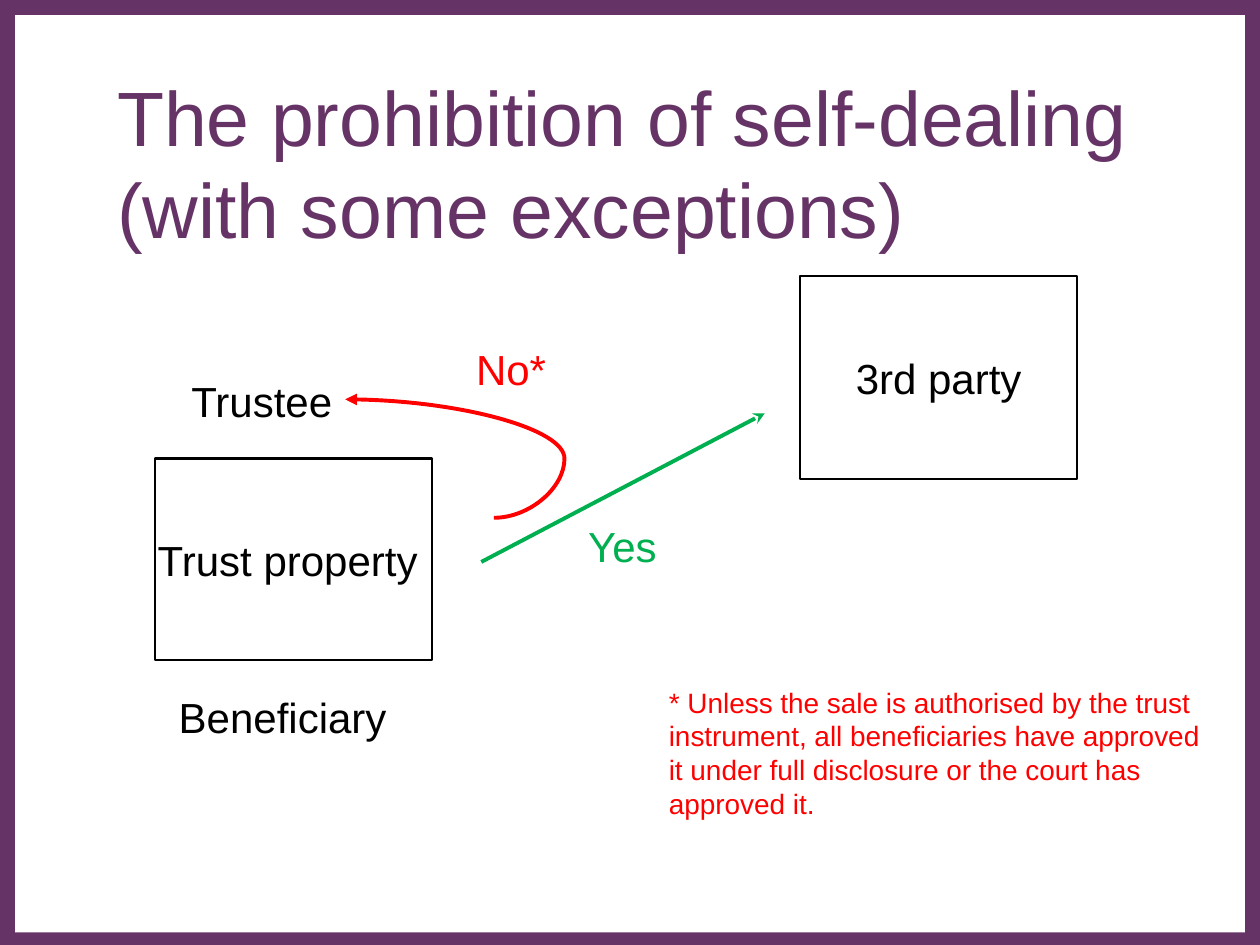
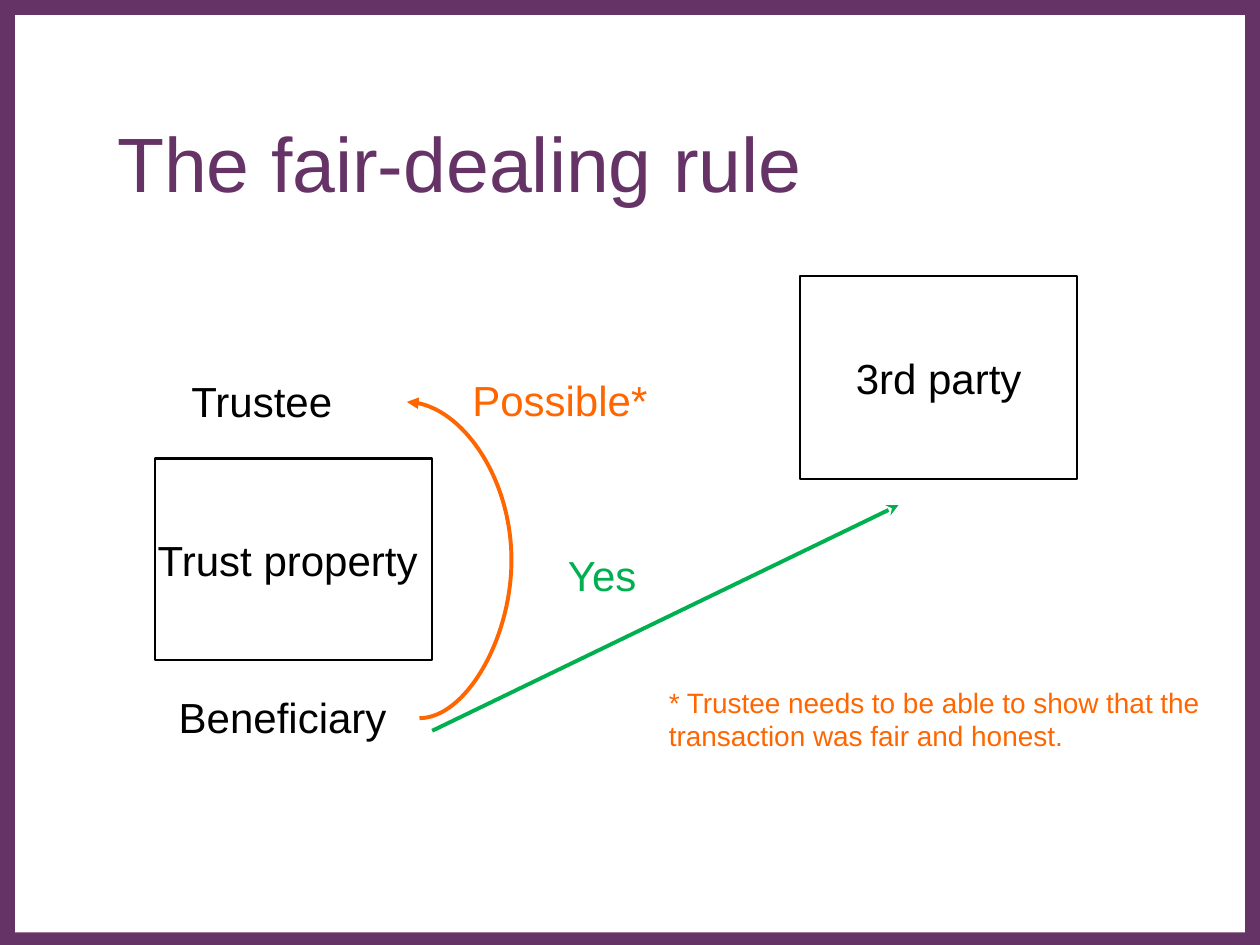
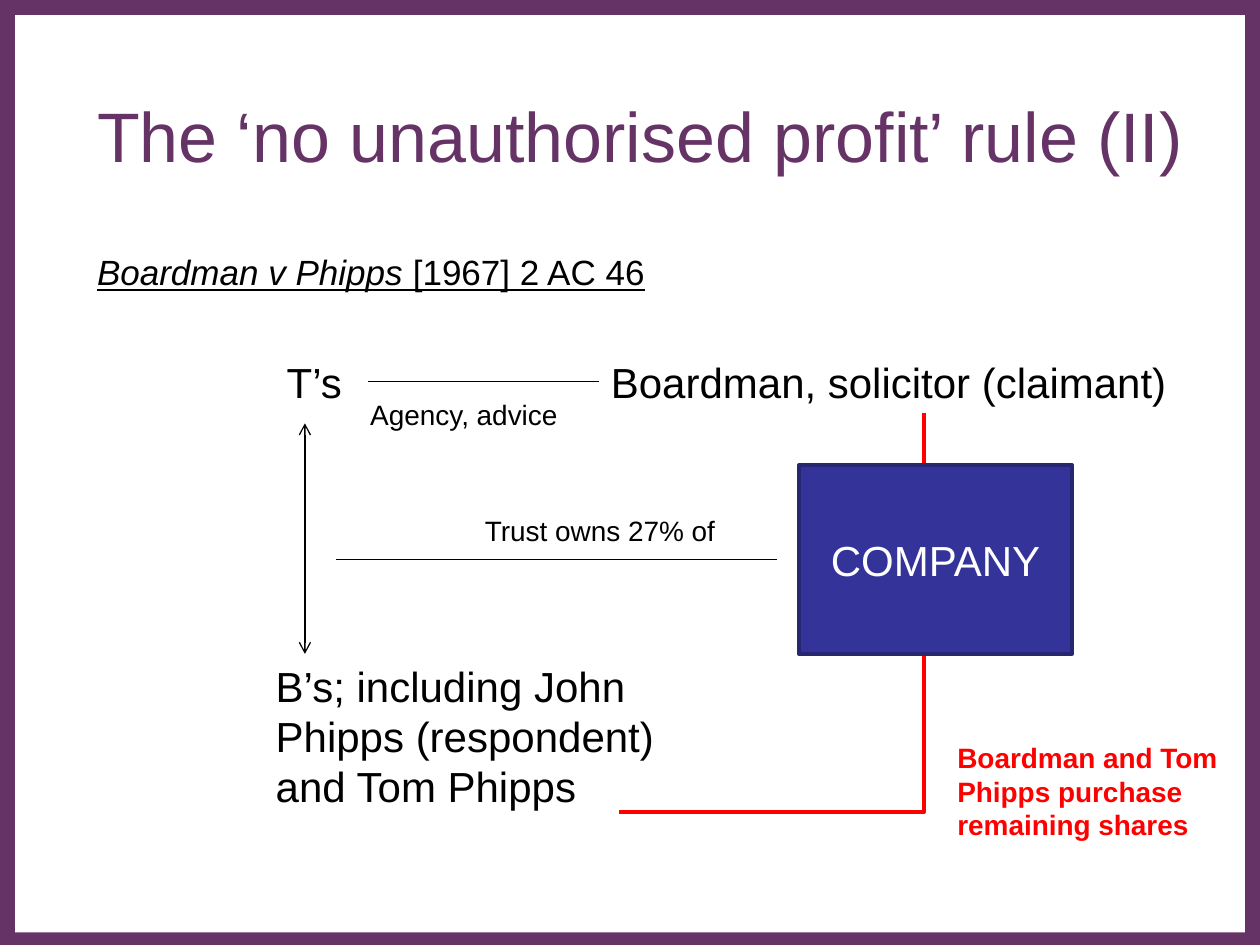
from lxml import etree
from pptx import Presentation
from pptx.dml.color import RGBColor
from pptx.enum.shapes import MSO_CONNECTOR, MSO_SHAPE
from pptx.enum.text import MSO_ANCHOR, MSO_AUTO_SIZE, PP_ALIGN
from pptx.oxml.ns import qn
from pptx.util import Inches, Pt

PX = Inches(1) // 100
FONT = "Arial"
COLORS = {
    "purple": "663366",
    "white": "FFFFFF",
    "black": "000000",
    "green": "00B050",
    "red": "FF0000",
    "orange": "FF6600",
    "navy": "333399",
    "navy_edge": "262671",
}
RECTANGLE = MSO_SHAPE.RECTANGLE
STRAIGHT, CURVE, ELBOW = MSO_CONNECTOR.STRAIGHT, MSO_CONNECTOR.CURVE, MSO_CONNECTOR.ELBOW
MIDDLE, TOP = MSO_ANCHOR.MIDDLE, MSO_ANCHOR.TOP
LEFT, CENTER = PP_ALIGN.LEFT, PP_ALIGN.CENTER
FIXED, GROW = MSO_AUTO_SIZE.NONE, MSO_AUTO_SIZE.SHAPE_TO_FIT_TEXT
TITLE_AND_CONTENT, TITLE_ONLY = 1, 5


def emu(*lengths):
    return [length * PX for length in lengths]


def rgb(name):
    return RGBColor.from_string(COLORS[name])


def format_text(frame, size, color, align=LEFT, bold=False):
    for para in frame.paragraphs:
        para.alignment = align
        for span in para.runs:
            span.font.name = FONT
            span.font.size = Pt(size)
            span.font.bold = bold
            span.font.color.rgb = rgb(color)


def place(shape, box):
    shape.left, shape.top, shape.width, shape.height = emu(*box)


def add_label(page, box, text, color="black", size=24, bold=False):
    frame = page.shapes.add_textbox(*emu(*box)).text_frame
    frame.word_wrap = True
    frame.auto_size = GROW
    frame.text = text
    format_text(frame, size, color, bold=bold)


def add_box(page, box, text="", fill=None, edge=None, width=1.42, color="black"):
    shape = page.shapes.add_shape(RECTANGLE, *emu(*box))
    shape.shadow.inherit = False
    if fill:
        shape.fill.solid()
        shape.fill.fore_color.rgb = rgb(fill)
    else:
        shape.fill.background()
    if edge:
        shape.line.color.rgb = rgb(edge)
        shape.line.width = Pt(width)
    else:
        shape.line.fill.background()
    if text:
        frame = shape.text_frame
        frame.word_wrap = False
        frame.vertical_anchor = MIDDLE
        frame.text = text
        format_text(frame, 24, color, CENTER)
    return shape


def add_line(page, start, end, color="black", width=0.75, kind=STRAIGHT,
             head=None, tail=None, bend=None, turn=0):
    connector = page.shapes.add_connector(kind, *emu(*start, *end))
    connector.line.color.rgb = rgb(color)
    connector.line.width = Pt(width)
    properties = connector.element.spPr
    outline = properties.find(qn("a:ln"))
    for tag, arrow in (("a:headEnd", head), ("a:tailEnd", tail)):
        if arrow:
            etree.SubElement(outline, qn(tag), type=arrow)
    if bend is not None:
        guides = properties.find(qn("a:prstGeom")).find(qn("a:avLst"))
        etree.SubElement(guides, qn("a:gd"), name="adj1", fmla=f"val {round(bend * 100000)}")
    if turn:
        properties.find(qn("a:xfrm")).set("rot", str(turn * 60000))
    etree.SubElement(properties, qn("a:effectLst"))


def add_frame(deck, page):
    border = add_box(page, (0, 0, 1000, 752), fill="purple")
    panel = add_box(page, (12, 12, 976, 728), fill="white")
    tree = deck.slide_master.shapes.element
    for order, shape in enumerate((border, panel)):
        shape.element.nvSpPr.cNvPr.set("id", str(100 + order))
        tree.insert(2 + order, shape.element)


def set_title(page, box, text, size, bottom_inset=5):
    title = page.shapes.title
    place(title, box)
    frame = title.text_frame
    frame.text = text
    frame.word_wrap = True
    frame.auto_size = FIXED
    frame.vertical_anchor = MIDDLE
    frame.margin_bottom = bottom_inset * PX
    format_text(frame, size, "purple")


def set_citation(page, box, case, reference):
    body = page.placeholders[1]
    place(body, box)
    frame = body.text_frame
    frame.auto_size = FIXED
    frame.vertical_anchor = TOP
    para = frame.paragraphs[0]
    for text, italic in ((case, True), (reference, False)):
        span = para.add_run()
        span.text = text
        span.font.italic = italic
        span.font.underline = True
    format_text(frame, 20, "black")
    settings = para._p.get_or_add_pPr()
    settings.set("marL", str(38 * PX))
    settings.set("indent", str(-38 * PX))
    etree.SubElement(settings, qn("a:buNone"))


def add_trust_parties(page, left, top):
    add_box(page, (left + 512, top, 220, 161), "3rd party", edge="black")
    add_box(page, (left, top + 145, 220, 160), "Trust property ", edge="black")
    add_label(page, (left + 19, top + 74, 181, 50), "Trustee")
    add_label(page, (left + 9, top + 325, 201, 50), "Beneficiary")


def dealing_slide(page, title, sale, sale_label, self_deal, bend, verdict, verdict_box,
                  color, note, note_height):
    set_title(page, (83, 99, 850, 125), title, 44, bottom_inset=71)
    add_trust_parties(page, 123, 219)
    add_line(page, *sale, "green", 2.25, tail="stealth")
    add_line(page, *self_deal, color, 2.25, CURVE, tail="triangle", bend=bend)
    add_label(page, (*sale_label, 86, 50), "Yes", "green")
    add_label(page, verdict_box, verdict, color)
    add_label(page, (521, 539, 443, note_height), note, color, 16)


def add_case_diagram(page, left, top):
    def at(x, y, *size):
        return (left + x, top + y, *size)

    add_label(page, at(0, 0, 100, 51), " T’s")
    add_label(page, at(0, 241, 367, 131), "B’s; including John Phipps (respondent) and Tom Phipps")
    add_line(page, at(33, 58), at(33, 241), head="arrow", tail="arrow")
    add_label(page, at(266, 0, 483, 51), "Boardman, solicitor (claimant)")
    add_line(page, at(58, 166), at(408, 166))
    add_label(page, at(166, 125, 208, 37), "Trust owns 27% of", size=16)
    add_line(page, at(83, 25), at(266, 25))
    add_label(page, at(75, 33, 250, 37), "Agency, advice", size=16)
    add_line(page, at(245, 87), at(562, 329), "red", 2, ELBOW, bend=1, turn=90)
    add_box(page, at(425, 91, 217, 150), "COMPANY", "navy", "navy_edge", 2, "white")
    add_label(page, at(541, 305, 233, 91),
              "Boardman and Tom Phipps purchase remaining shares", "red", 16, bold=True)


def profit_slide(page):
    set_title(page, (67, 44, 892, 125), "The ‘no unauthorised profit’ rule (II)", 40)
    set_citation(page, (67, 194, 850, 417), "Boardman v Phipps", " [1967] 2 AC 46")
    add_case_diagram(page, 209, 278)


def main():
    deck = Presentation()
    deck.slide_width, deck.slide_height = emu(1000, 750)
    self_dealing, fair_dealing, profit = [
        deck.slides.add_slide(deck.slide_layouts[layout])
        for layout in (TITLE_ONLY, TITLE_ONLY, TITLE_AND_CONTENT)
    ]
    add_frame(deck, self_dealing)
    dealing_slide(
        self_dealing, "The prohibition of self-dealing (with some exceptions)",
        sale=((382, 446), (607, 328)), sale_label=(457, 408),
        self_deal=((392, 411), (274, 317)), bend=-0.475,
        verdict="No*", verdict_box=(368, 268, 86, 50), color="red",
        note="* Unless the sale is authorised by the trust instrument, all beneficiaries "
             "have approved it under full disclosure or the court has approved it.",
        note_height=118,
    )
    dealing_slide(
        fair_dealing, "The fair-dealing rule",
        sale=((343, 580), (713, 401)), sale_label=(441, 431),
        self_deal=((333, 570), (323, 319)), bend=-7.3,
        verdict="Possible*", verdict_box=(365, 292, 165, 50), color="orange",
        note="* Trustee needs to be able to show that the transaction was fair and honest.",
        note_height=64,
    )
    profit_slide(profit)
    deck.save("out.pptx")


if __name__ == "__main__":
    main()
